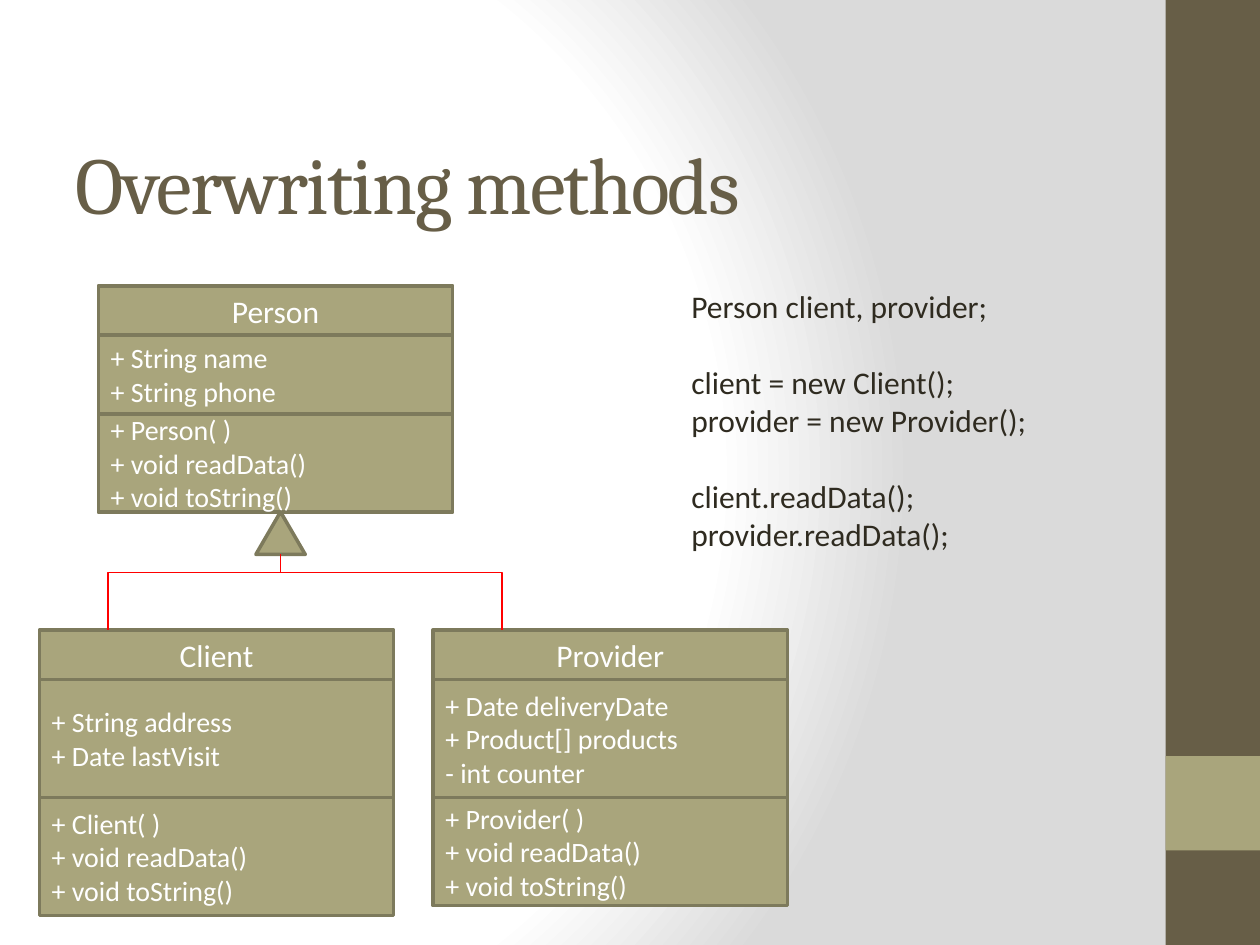
from typing import NamedTuple

from lxml.etree import SubElement
from pptx import Presentation
from pptx.dml.color import RGBColor
from pptx.enum.shapes import MSO_CONNECTOR, MSO_SHAPE
from pptx.enum.text import MSO_ANCHOR, MSO_AUTO_SIZE, PP_ALIGN
from pptx.oxml import parse_xml
from pptx.oxml.ns import nsdecls, qn
from pptx.util import Pt

BROWN = RGBColor(0x67, 0x5E, 0x47)
OLIVE = RGBColor(0xA9, 0xA5, 0x7C)
OLIVE_EDGE = RGBColor(0x7D, 0x7A, 0x5C)
RED = RGBColor(0xFF, 0x00, 0x00)
WHITE = RGBColor(0xFF, 0xFF, 0xFF)
LIGHT_GREY = RGBColor(0xDA, 0xDA, 0xDA)
INK = RGBColor(0x2F, 0x2B, 0x20)

CLASS_WIDTH = 202.5
NAME_HEIGHT = 28.2


class ClassBox(NamedTuple):
    name: str
    left: float
    top: float
    fields: list[str]
    fields_height: float
    methods: list[str]
    methods_height: float


class CodeLine(NamedTuple):
    text: str
    space_before: float = 0


CLASSES = [
    ClassBox("Person", 56.2, 163.3, ["+ String name", "+ String phone"], 45,
             ["+ Person( )", "+ void readData()", "+ void toString()"], 56.2),
    ClassBox("Client", 22.5, 360, ["+ String address", "+ Date lastVisit"], 67.5,
             ["+ Client( )", "+ void readData()", "+ void toString()"], 67.5),
    ClassBox("Provider", 247.5, 360,
             ["+ Date deliveryDate", "+ Product[] products", "- int counter"], 67.5,
             ["+ Provider( )", "+ void readData()", "+ void toString()"], 61.9),
]
CODE = [
    CodeLine("Person client, provider;"),
    CodeLine("client = new Client();", 22),
    CodeLine("provider = new Provider();"),
    CodeLine("client.readData();", 22),
    CodeLine("provider.readData();"),
]


def set_background(slide) -> None:
    """Radial gradient from white to grey, centred left of the middle."""
    slide.background.fill.gradient()
    gradient = next(slide.element.iter(qn("a:gradFill")))
    stops = "".join(
        f'<a:gs pos="{position}"><a:srgbClr val="{color}"/></a:gs>'
        for position, color in ((0, WHITE), (75000, WHITE), (100000, LIGHT_GREY)))
    gradient.getparent().replace(gradient, parse_xml(
        f'<a:gradFill {nsdecls("a")} rotWithShape="1"><a:gsLst>{stops}</a:gsLst>'
        '<a:path path="circle">'
        '<a:fillToRect l="20000" t="50000" r="100000" b="50000"/></a:path></a:gradFill>'))


def add_filled_shape(shapes, kind: MSO_SHAPE, left: float, top: float, width: float,
                     height: float, fill: RGBColor, edge: RGBColor | None = None):
    shape = shapes.add_shape(kind, Pt(left), Pt(top), Pt(width), Pt(height))
    shape.shadow.inherit = False
    shape.fill.solid()
    shape.fill.fore_color.rgb = fill
    if edge is None:
        shape.line.fill.background()
    else:
        shape.line.color.rgb = edge
        shape.line.width = Pt(2)
    return shape


def add_run(paragraph, text: str, size: float, color: RGBColor, font: str = "Calibri"):
    run = paragraph.add_run()
    run.text = text
    run.font.size = Pt(size)
    run.font.name = font
    run.font.color.rgb = color
    return run


def add_paragraphs(text_frame, lines: list[CodeLine], size: float, color: RGBColor,
                   alignment: PP_ALIGN = PP_ALIGN.LEFT) -> None:
    for index, line in enumerate(lines):
        paragraph = text_frame.add_paragraph() if index else text_frame.paragraphs[0]
        paragraph.alignment = alignment
        paragraph.space_before = Pt(line.space_before)
        add_run(paragraph, line.text, size, color)


def add_class(slide, box: ClassBox) -> None:
    group = slide.shapes.add_group_shape()
    top = box.top
    for lines, height, size, alignment in (
            ([box.name], NAME_HEIGHT, 18, PP_ALIGN.CENTER),
            (box.fields, box.fields_height, 16, PP_ALIGN.LEFT),
            (box.methods, box.methods_height, 16, PP_ALIGN.LEFT)):
        shape = add_filled_shape(group.shapes, MSO_SHAPE.RECTANGLE, box.left, top,
                                 CLASS_WIDTH, height, OLIVE, OLIVE_EDGE)
        shape.text_frame.word_wrap = True
        shape.text_frame.vertical_anchor = MSO_ANCHOR.MIDDLE
        add_paragraphs(shape.text_frame, [CodeLine(line) for line in lines],
                       size, WHITE, alignment)
        top += height


def add_inheritance_line(slide, start_x: float, start_y: float,
                         end_x: float, end_y: float) -> None:
    """Elbow that leaves downwards: a horizontal elbow turned by a quarter."""
    center_x, center_y = (start_x + end_x) / 2, (start_y + end_y) / 2
    half_width, half_height = (end_y - start_y) / 2, abs(end_x - start_x) / 2
    side = 1 if end_x < start_x else -1
    connector = slide.shapes.add_connector(
        MSO_CONNECTOR.ELBOW,
        Pt(center_x - side * half_width), Pt(center_y - half_height),
        Pt(center_x + side * half_width), Pt(center_y + half_height))
    connector.line.color.rgb = RED
    connector.line.width = Pt(1)
    properties = connector._element.spPr
    properties.find(qn("a:xfrm")).set("rot", str((90 if side > 0 else 270) * 60000))
    adjustments = properties.find(qn("a:prstGeom")).find(qn("a:avLst"))
    SubElement(adjustments, qn("a:gd"), name="adj1", fmla="val 24200")
    SubElement(properties, qn("a:effectLst"))


def set_title(slide, text: str) -> None:
    title = slide.shapes.title
    title.left, title.top, title.width, title.height = Pt(36), Pt(62), Pt(648), Pt(84)
    frame = title.text_frame
    frame.auto_size = MSO_AUTO_SIZE.NONE
    frame.vertical_anchor = MSO_ANCHOR.MIDDLE
    frame.paragraphs[0].alignment = PP_ALIGN.LEFT
    run = add_run(frame.paragraphs[0], text, 46, BROWN, "Cambria")
    run.font._element.set("spc", "-100")


def add_code(slide) -> None:
    text_box = slide.shapes.add_textbox(Pt(388), Pt(160.5), Pt(304), Pt(160))
    text_box.text_frame.word_wrap = True
    text_box.text_frame.auto_size = MSO_AUTO_SIZE.SHAPE_TO_FIT_TEXT
    add_paragraphs(text_box.text_frame, CODE, 18, INK)


def main() -> None:
    presentation = Presentation()
    presentation.slide_width, presentation.slide_height = Pt(720), Pt(540)
    slide = presentation.slides.add_slide(presentation.slide_layouts[5])
    set_background(slide)
    add_filled_shape(slide.shapes, MSO_SHAPE.RECTANGLE, 666, 0, 54, 540, BROWN)
    add_filled_shape(slide.shapes, MSO_SHAPE.RECTANGLE, 666, 432, 54, 54, OLIVE)
    for box in CLASSES:
        add_class(slide, box)
    add_filled_shape(slide.shapes, MSO_SHAPE.ISOSCELES_TRIANGLE, 146.2, 292.5,
                     28.2, 24.3, OLIVE, OLIVE_EDGE)
    for child in CLASSES[1:]:
        add_inheritance_line(slide, 160.3, 316.8, child.left + 39.2, child.top)
    add_code(slide)
    set_title(slide, "Overwriting methods")
    presentation.save("out.pptx")


if __name__ == "__main__":
    main()
